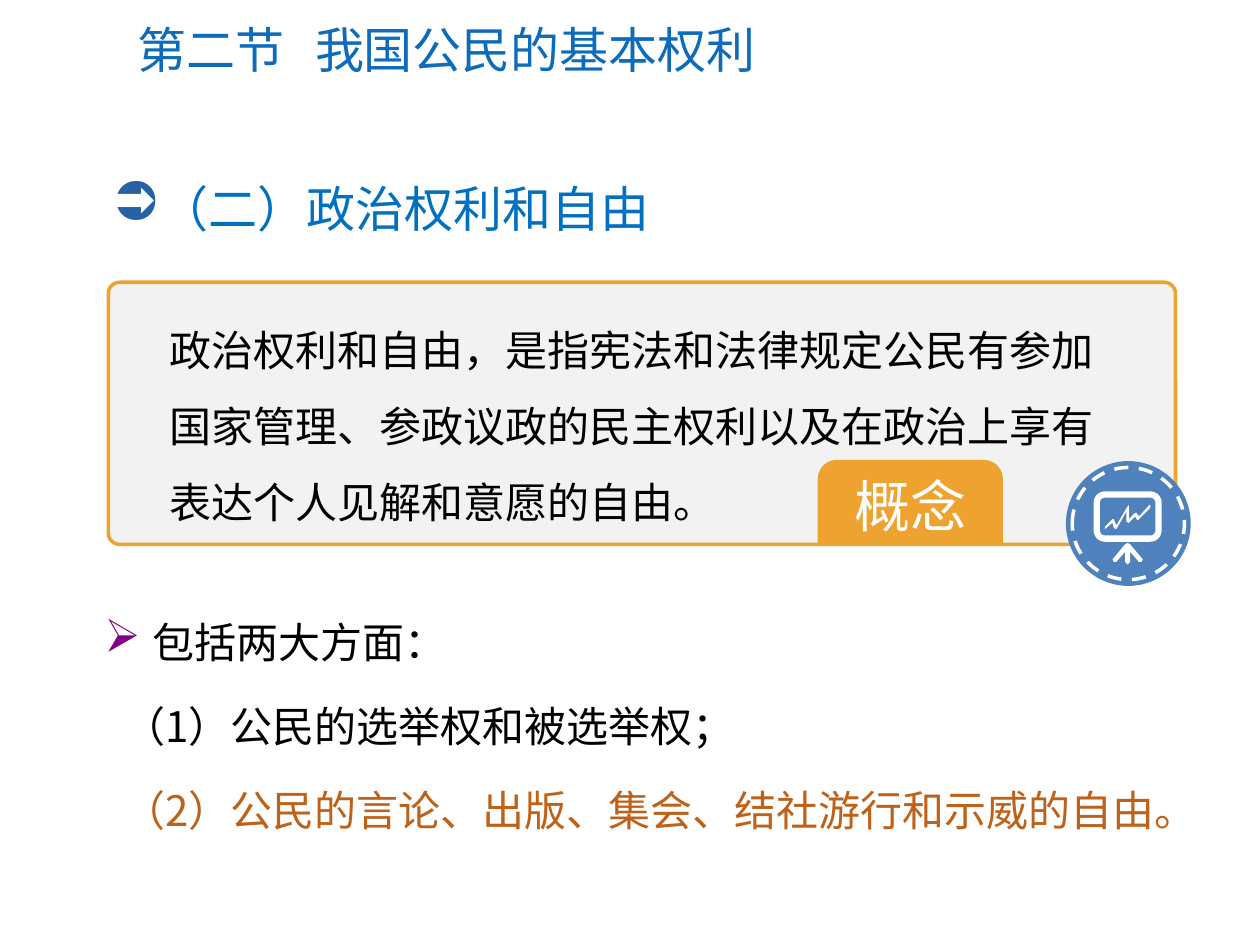
from math import cos, radians, sin

from lxml import etree
from pptx import Presentation
from pptx.dml.color import RGBColor
from pptx.enum.dml import MSO_LINE
from pptx.enum.shapes import MSO_SHAPE as SHAPE
from pptx.enum.text import MSO_ANCHOR as ANCHOR, MSO_AUTO_SIZE as FIT, PP_ALIGN as ALIGN
from pptx.oxml.ns import qn
from pptx.util import Inches, Pt

COLORS = {
    "title": "0C6BBA", "heading": "0070C0", "arrow": "2860A4", "purple": "800080",
    "orange": "EEA230", "brown": "BE6119", "panel": "F2F2F2", "badge": "4F81BD",
    "white": "FFFFFF", "black": "000000",
}
SANS, LATIN = "Noto Sans CJK SC", "Calibri"


def rgb(name):
    return RGBColor.from_string(COLORS[name])


def rounded_box(x, y, w, h, radius, steps=8):
    """Outline points of a rounded rectangle, corner by corner."""
    corners = [(x + w - radius, y + h - radius), (x + radius, y + h - radius),
               (x + radius, y + radius), (x + w - radius, y + radius)]
    points = []
    for i, (cx, cy) in enumerate(corners):
        for k in range(steps + 1):
            a = radians(90 * (i + k / steps))
            points.append((cx + radius * cos(a), cy + radius * sin(a)))
    return points


class SlideBuilder:
    def __init__(self, slide):
        self.slide = slide

    def paint(self, s, fill, line=None, width=2):
        s.shadow.inherit = False
        s.fill.solid()
        s.fill.fore_color.rgb = rgb(fill)
        if line:
            s.line.color.rgb = rgb(line)
            s.line.width = Pt(width)
        else:
            s.line.fill.background()
        return s

    def shape(self, kind, box, fill, line=None, adj=()):
        s = self.slide.shapes.add_shape(kind, *map(Inches, box))
        for i, value in enumerate(adj):
            s.adjustments[i] = value
        return self.paint(s, fill, line)

    def outline(self, contours, fill):
        """Filled freeform; a second contour cuts a hole."""
        contours = [[(Inches(x), Inches(y)) for x, y in c] for c in contours]
        fb = self.slide.shapes.build_freeform(*contours[0][0])
        for i, points in enumerate(contours):
            if i:
                fb.move_to(*points[0])
            fb.add_line_segments(points[1:], close=True)
        return self.paint(fb.convert_to_shape(), fill)

    def text_box(self, box):
        tf = self.slide.shapes.add_textbox(*map(Inches, box)).text_frame
        tf.word_wrap = True
        return tf

    def title(self, box, text, tab):
        s = self.slide.shapes.title
        s.left, s.top, s.width, s.height = map(Inches, box)
        tf = s.text_frame
        tf.auto_size = FIT.NONE
        tf.vertical_anchor = ANCHOR.MIDDLE
        p = tf.paragraphs[0]
        p.alignment = ALIGN.LEFT
        tabs = etree.SubElement(p._p.get_or_add_pPr(), qn("a:tabLst"))
        etree.SubElement(tabs, qn("a:tab"), pos=str(Inches(tab)), algn="l")
        self.run(p, text, 28, "title", LATIN)

    def run(self, p, text, size, color, font=SANS):
        r = p.add_run()
        r.text = text
        r.font.size = Pt(size)
        r.font.name = font
        r.font.color.rgb = rgb(color)
        etree.SubElement(r._r.get_or_add_rPr(), qn("a:ea"), typeface=SANS)

    def indent(self, p, left, first):
        pPr = p._p.get_or_add_pPr()
        pPr.set("marL", str(Inches(left)))
        pPr.set("indent", str(Inches(first)))

    def bullet(self, p, char, color):
        self.indent(p, 0.38, -0.38)
        pPr = p._p.get_or_add_pPr()
        clr = etree.SubElement(pPr, qn("a:buClr"))
        etree.SubElement(clr, qn("a:srgbClr"), val=COLORS[color])
        etree.SubElement(pPr, qn("a:buSzPct"), val="110000")
        etree.SubElement(pPr, qn("a:buChar"), char=char)

    def body(self, p, text, color="black"):
        p.line_spacing = Pt(43.2)
        self.run(p, text, 24, color)


def main():
    prs = Presentation()
    prs.slide_width, prs.slide_height = Inches(10), Inches(7.5)
    b = SlideBuilder(prs.slides.add_slide(prs.slide_layouts[5]))

    # Definition panel
    b.shape(SHAPE.ROUNDED_RECTANGLE, (0.86, 2.24, 8.47, 2.08), "panel", "orange", [0.043])

    # Round badge with a dashed ring
    b.shape(SHAPE.OVAL, (8.46, 3.66, 0.99, 0.99), "badge")
    ring = b.shape(SHAPE.OVAL, (8.51, 3.71, 0.89, 0.89), "badge", "white")
    ring.line.dash_style = MSO_LINE.DASH

    # Presentation board: frame, stand and chart line
    b.outline([rounded_box(8.68, 3.9, 0.54, 0.4, 0.09),
               rounded_box(8.73, 3.95, 0.44, 0.3, 0.04)], "white")
    b.outline([[(8.95, 4.31), (8.97, 4.32), (9.07, 4.44), (9.06, 4.46), (9.04, 4.46),
                (8.97, 4.38), (8.97, 4.46), (8.95, 4.48), (8.93, 4.46), (8.93, 4.38),
                (8.86, 4.46), (8.84, 4.46), (8.83, 4.44), (8.93, 4.32)]], "white")
    b.outline([[(8.77, 4.18), (8.83, 4.12), (8.84, 4.12), (8.86, 4.17), (8.95, 4.02),
                (8.96, 4.01), (8.96, 4.12), (9.01, 4.07), (9.02, 4.07), (9.04, 4.1),
                (9.12, 4.01), (9.13, 4.01), (9.13, 4.03), (9.04, 4.12), (9.03, 4.13),
                (9.02, 4.12), (9.01, 4.1), (8.96, 4.15), (8.94, 4.14), (8.94, 4.06),
                (8.86, 4.2), (8.84, 4.19), (8.83, 4.15), (8.78, 4.19), (8.77, 4.2)]], "white")

    # Definition text
    tf = b.text_box((1.25, 2.33, 7.75, 1.82))
    b.body(tf.paragraphs[0], "政治权利和自由，是指宪法和法律规定公民有参加国家管理、"
           "参政议政的民主权利以及在政治上享有表达个人见解和意愿的自由。")

    # Title and section heading
    b.title((0.99, 0.1, 8.72, 0.58), "第二节\t我国公民的基本权利", tab=1.41)
    p = b.text_box((0.79, 1.37, 8.34, 0.57)).paragraphs[0]
    b.bullet(p, "➲", "arrow")
    b.run(p, "（二）政治权利和自由", 28, "heading", LATIN)

    # Concept tab
    s = b.shape(SHAPE.ROUND_2_SAME_RECTANGLE, (6.49, 3.65, 1.47, 0.67), "orange",
                adj=[0.226, 0])
    s.text_frame.vertical_anchor = ANCHOR.TOP
    p = s.text_frame.paragraphs[0]
    p.alignment = ALIGN.CENTER
    b.run(p, "概念", 32, "white")

    # The two aspects
    tf = b.text_box((0.73, 4.64, 8.9, 2.08))
    p = tf.paragraphs[0]
    b.bullet(p, "➢", "purple")
    b.body(p, "包括两大方面：")
    for text, color in [("（1）公民的选举权和被选举权；", "black"),
                        ("（2）公民的言论、出版、集会、结社游行和示威的自由。", "brown")]:
        p = tf.add_paragraph()
        p.space_before = Pt(4.8)
        b.indent(p, 0, 0.15)
        b.body(p, text, color)

    prs.save("out.pptx")


if __name__ == "__main__":
    main()
